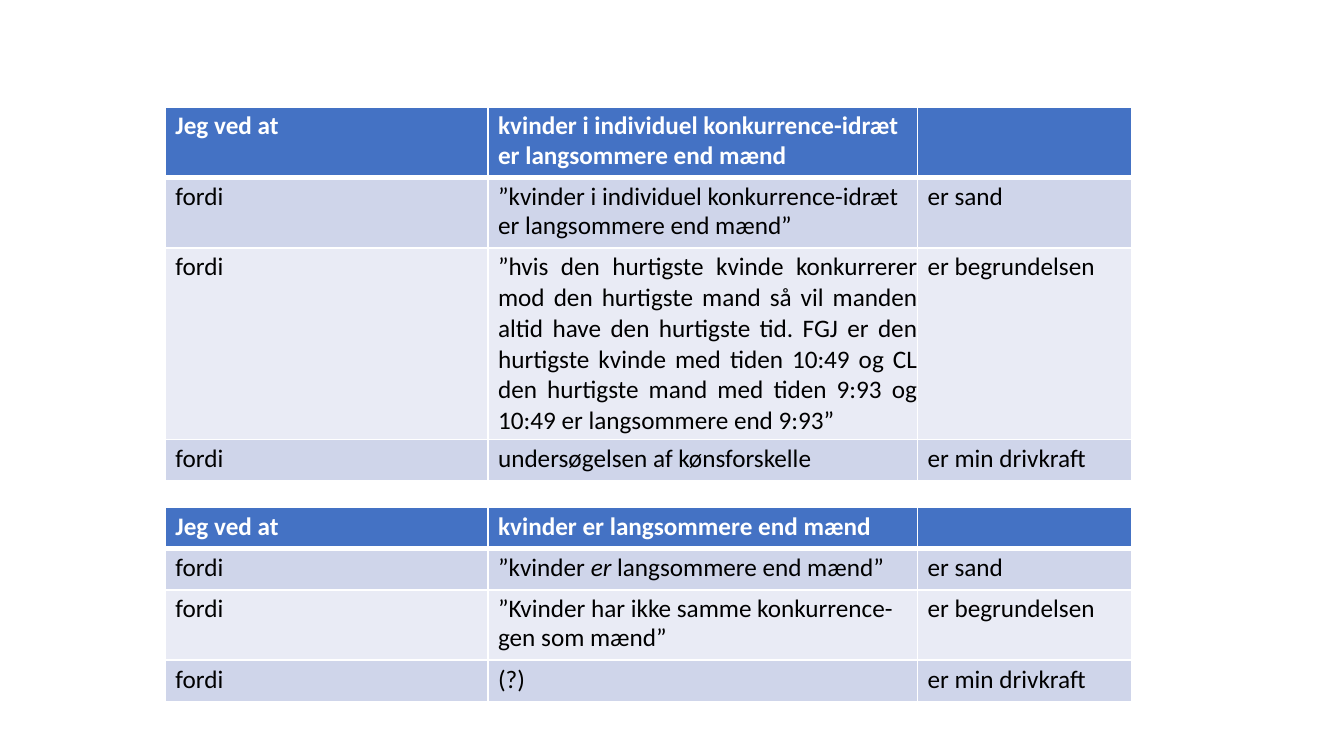
"""Build a slide with two tables that set claims about speed beside their reasons."""
import pptx
import pptx.dml.color
import pptx.enum.text
import pptx.oxml
import pptx.oxml.ns
import pptx.util
from pptx.util import Inches

COLORS = {"header": "4472C4", "odd": "CFD5EA", "even": "E9EBF5", "white": "FFFFFF", "black": "000000"}
COLUMN_WIDTHS = [3.2, 4.26, 2.13]
TABLE_LEFT = 1.64
THIN, THICK = 1.5, 4.25
ITALIC_MARK = "*"

TABLES = [
    {
        "top": 1.06,
        "heights": [0.7, 0.7, 1.9, 0.41],
        "rows": [
            ("Jeg ved at", "kvinder i individuel konkurrence-idræt er langsommere end mænd", ""),
            ("fordi", "”kvinder i individuel konkurrence-idræt er langsommere end mænd”", "er sand"),
            (
                "fordi",
                "”hvis den hurtigste kvinde konkurrerer mod den hurtigste mand så vil manden "
                "altid have den hurtigste tid. FGJ er den hurtigste kvinde med tiden 10:49 "
                "og CL den hurtigste mand med tiden 9:93 og 10:49 er langsommere end 9:93”",
                "er begrundelsen",
            ),
            ("fordi", "undersøgelsen af kønsforskelle", "er min drivkraft"),
        ],
        "tight": [(0, 1), (1, 1)],
        "justified": [(2, 1)],
    },
    {
        "top": 5.03,
        "heights": [0.41, 0.41, 0.7, 0.41],
        "rows": [
            ("Jeg ved at", "kvinder er langsommere end mænd", ""),
            ("fordi", "”kvinder *er* langsommere end mænd”", "er sand"),
            ("fordi", "”Kvinder har ikke samme konkurrence-gen som mænd”", "er begrundelsen"),
            ("fordi", "(?)", "er min drivkraft"),
        ],
        "tight": [(2, 1)],
        "justified": [],
    },
]


def rgb(name):
    return pptx.dml.color.RGBColor.from_string(COLORS[name])


def add_borders(cell, row_index):
    properties = cell._tc.get_or_add_tcPr()
    widths = {
        "lnL": THIN,
        "lnR": THIN,
        "lnT": THICK if row_index == 1 else THIN,
        "lnB": THICK if row_index == 0 else THIN,
    }
    for side, width in widths.items():
        properties.append(pptx.oxml.parse_xml(
            f'<a:{side} {pptx.oxml.ns.nsdecls("a")} w="{pptx.util.Pt(width)}"><a:solidFill>'
            f'<a:srgbClr val="{COLORS["white"]}"/></a:solidFill></a:{side}>'
        ))


def format_cell(cell, text, row_index, tight, justified):
    is_header = row_index == 0
    add_borders(cell, row_index)
    cell.fill.solid()
    cell.fill.fore_color.rgb = rgb("header" if is_header else "odd" if row_index % 2 else "even")
    cell.margin_left = Inches(0.1)
    cell.margin_right = cell.margin_bottom = 0
    cell.margin_top = Inches(0.05 if tight else 0.04)
    paragraph = cell.text_frame.paragraphs[0]
    for index, part in enumerate(text.split(ITALIC_MARK)):
        if part:
            run = paragraph.add_run()
            run.text = part
            if index % 2:
                run.font.italic = True
    if tight:
        paragraph.line_spacing = pptx.util.Pt(21.1)
    if justified:
        paragraph.alignment = pptx.enum.text.PP_ALIGN.JUSTIFY
    paragraph.font.name = "Calibri"
    paragraph.font.size = pptx.util.Pt(18)
    paragraph.font.bold = is_header
    paragraph.font.color.rgb = rgb("white" if is_header else "black")


def add_claim_table(slide, content):
    rows, heights = content["rows"], content["heights"]
    table = slide.shapes.add_table(
        len(rows), len(COLUMN_WIDTHS), Inches(TABLE_LEFT), Inches(content["top"]),
        Inches(sum(COLUMN_WIDTHS)), Inches(sum(heights)),
    ).table
    for column, width in zip(table.columns, COLUMN_WIDTHS):
        column.width = Inches(width)
    for row_index, (texts, height) in enumerate(zip(rows, heights)):
        table.rows[row_index].height = Inches(height)
        for column_index, text in enumerate(texts):
            place = (row_index, column_index)
            format_cell(table.cell(*place), text, row_index,
                        place in content["tight"], place in content["justified"])


def main():
    presentation = pptx.Presentation()
    presentation.slide_width = Inches(13.33)
    presentation.slide_height = Inches(7.5)
    slide = presentation.slides.add_slide(presentation.slide_layouts[6])
    for content in TABLES:
        add_claim_table(slide, content)
    presentation.save("out.pptx")


if __name__ == "__main__":
    main()
